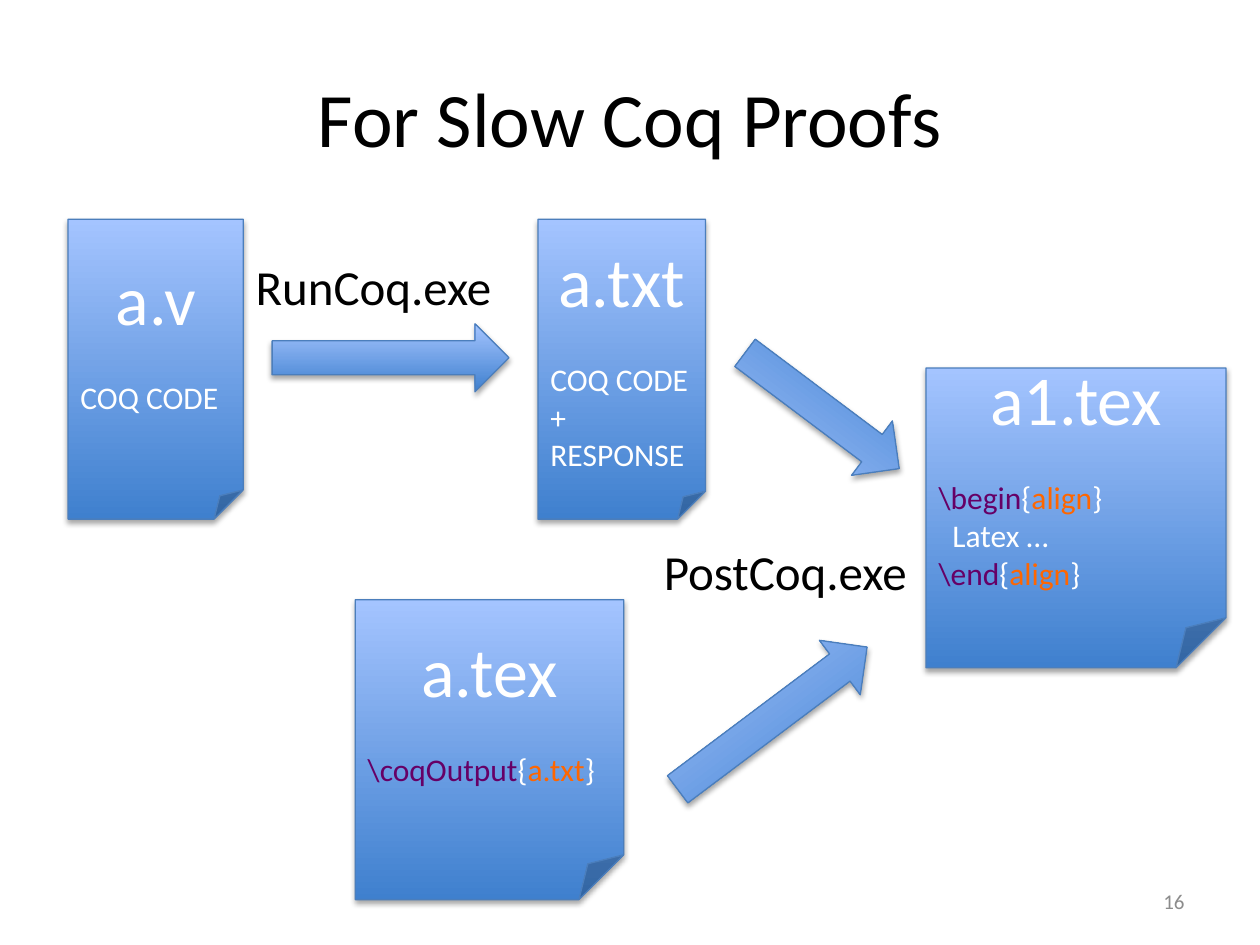
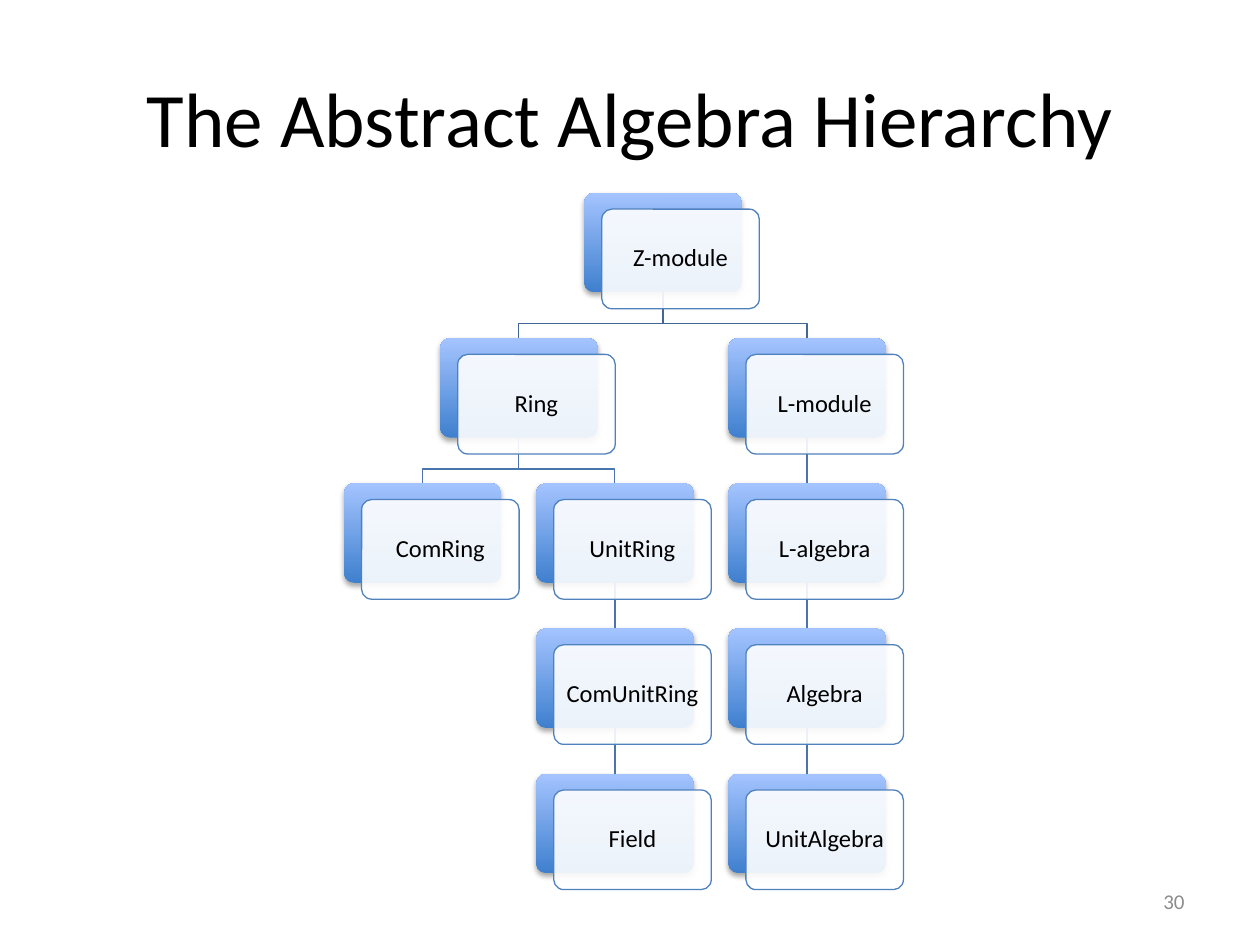
from lxml import etree
from pptx import Presentation
from pptx import util as u
from pptx.dml.color import RGBColor
from pptx.enum import shapes as es, text as et
from pptx.oxml import ns

FONT = "Calibri"
BLACK = RGBColor(0x00, 0x00, 0x00)
WHITE = RGBColor(0xFF, 0xFF, 0xFF)
GREY = RGBColor(0x8C, 0x8C, 0x8C)
DEEP = RGBColor(0x3F, 0x80, 0xCE)
PALE = RGBColor(0xA4, 0xC4, 0xFF)
EDGE = RGBColor(0x4B, 0x7E, 0xBC)
FRAME = RGBColor(0x4F, 0x81, 0xBD)
LINK = RGBColor(0x48, 0x75, 0xAC)
TOP_LINK = RGBColor(0x3F, 0x67, 0x97)
PURPLE = RGBColor(0x66, 0x00, 0x66)
ORANGE = RGBColor(0xFF, 0x66, 0x00)
LEFT, MID, RIGHT = et.PP_ALIGN.LEFT, et.PP_ALIGN.CENTER, et.PP_ALIGN.RIGHT

BLANK_LINE = 22
COL, ROW = 3.05 / 2, 4.61 / 4
CARD_W, CARD_H = 1.25, 0.79
SHIFT = (0.14, 0.13)
NODES = {
    "Z-module": (1.25, 0, None),
    "Ring": (0.5, 1, "Z-module"),
    "L-module": (2, 1, "Z-module"),
    "ComRing": (0, 2, "Ring"),
    "UnitRing": (1, 2, "Ring"),
    "ComUnitRing": (1, 3, "UnitRing"),
    "Field": (1, 4, "ComUnitRing"),
    "L-algebra": (2, 2, "L-module"),
    "Algebra": (2, 3, "L-algebra"),
    "UnitAlgebra": (2, 4, "Algebra"),
}


def place(*nums):
    return [u.Inches(n) for n in nums]


def style(par, size, color, align=LEFT):
    par.alignment = align
    for run in par.runs:
        run.font.name = FONT
        run.font.size = u.Pt(size)
        run.font.color.rgb = color


def label(slide, box, words, size, color=BLACK, align=LEFT, wrap=True):
    frame = slide.shapes.add_textbox(*place(*box)).text_frame
    frame.word_wrap = wrap
    if wrap:
        frame.vertical_anchor = et.MSO_ANCHOR.MIDDLE
    frame.text = words
    style(frame.paragraphs[0], size, color, align)


def start(deck, title, page):
    slide = deck.slides.add_slide(deck.slide_layouts[6])
    label(slide, (0.5, 0.3, 9, 1.25), title, 44, align=MID)
    label(slide, (7.17, 6.95, 2.33, 0.4), page, 12, GREY, RIGHT)
    return slide


def glossy(slide, kind, box):
    shape = slide.shapes.add_shape(kind, *place(*box))
    shape.fill.gradient()
    shape.fill.gradient_angle = 90
    for stop, color in zip(shape.fill.gradient_stops, (DEEP, PALE)):
        stop.color.rgb = color
    shape.line.color.rgb = EDGE
    shape.line.width = u.Pt(0.75)
    shape.shadow.inherit = False
    effects = shape.element.spPr.find(ns.qn("a:effectLst"))
    shade = etree.SubElement(effects, ns.qn("a:outerShdw"), blurRad="40000",
                             dist="23000", dir="5400000", rotWithShape="0")
    tint = etree.SubElement(shade, ns.qn("a:srgbClr"), val="000000")
    etree.SubElement(tint, ns.qn("a:alpha"), val="35000")
    return shape


def page_box(slide, box, name, lines, gap=0):
    frame = glossy(slide, es.MSO_SHAPE.FOLDED_CORNER, box).text_frame
    frame.word_wrap = True
    frame.vertical_anchor = et.MSO_ANCHOR.MIDDLE
    frame.margin_bottom = u.Inches(0.05) + u.Pt(gap)
    frame.text = name
    head = frame.paragraphs[0]
    style(head, 40, WHITE, MID)
    head.space_after = u.Pt(BLANK_LINE)
    for parts in lines:
        par = frame.add_paragraph()
        for words, color in parts:
            run = par.add_run()
            run.text = words
        style(par, 18, WHITE)
        for run, (words, color) in zip(par.runs, parts):
            run.font.color.rgb = color
    return frame


def arrow(slide, box, turn=0, flip=False):
    shape = glossy(slide, es.MSO_SHAPE.RIGHT_ARROW, box)
    shape.rotation = turn
    if flip:
        shape.element.spPr.xfrm.set("flipV", "1")


def macro(word, arg):
    return [("\\" + word, PURPLE), ("{", WHITE), (arg, ORANGE), ("}", WHITE)]


def spot(name):
    col, row, _ = NODES[name]
    return 2.73 + col * COL, 1.53 + row * ROW


def back_card(slide, name):
    card = glossy(slide, es.MSO_SHAPE.ROUNDED_RECTANGLE,
                  (*spot(name), CARD_W, CARD_H))
    card.adjustments[0] = 0.1
    card.line.fill.background()
    return card


def front_card(slide, name):
    x, y = spot(name)
    card = slide.shapes.add_shape(
        es.MSO_SHAPE.ROUNDED_RECTANGLE,
        *place(x + SHIFT[0], y + SHIFT[1], CARD_W, CARD_H))
    card.adjustments[0] = 0.1
    card.shadow.inherit = False
    card.fill.solid()
    card.fill.fore_color.rgb = WHITE
    tint = card.element.spPr.find(".//" + ns.qn("a:srgbClr"))
    etree.SubElement(tint, ns.qn("a:alpha"), val="90000")
    card.line.color.rgb = FRAME
    card.line.width = u.Pt(0.75)
    frame = card.text_frame
    frame.word_wrap = True
    frame.vertical_anchor = et.MSO_ANCHOR.MIDDLE
    frame.margin_left = frame.margin_right = u.Inches(0.06)
    frame.margin_top = frame.margin_bottom = u.Inches(0.06)
    frame.text = name
    par = frame.paragraphs[0]
    par.line_spacing = 0.9
    style(par, 14, BLACK, MID)


def link(slide, cards, name):
    col, row, above = NODES[name]
    x1, y1 = spot(above)
    x2, y2 = spot(name)
    x1, x2, y1 = x1 + CARD_W / 2, x2 + CARD_W / 2, y1 + CARD_H
    if col == NODES[above][0]:
        line = slide.shapes.add_connector(
            es.MSO_CONNECTOR.STRAIGHT, *place(x1, y1, x2, y2))
        line.begin_connect(cards[above], 2)
        line.end_connect(cards[name], 0)
        etree.SubElement(line.element.spPr, ns.qn("a:effectLst"))
    else:
        bend = y1 + 0.25
        pen = slide.shapes.build_freeform(*place(x1, y1))
        pen.add_line_segments(
            [place(x1, bend), place(x2, bend), place(x2, y2)], close=False)
        line = pen.convert_to_shape()
        line.fill.background()
        line.shadow.inherit = False
    line.line.color.rgb = TOP_LINK if row == 1 else LINK
    line.line.width = u.Pt(0.75)


def proofs(deck):
    slide = start(deck, "For Slow Coq Proofs", "16")
    page_box(slide, (0.54, 1.74, 1.39, 2.38), "a.v",
             [[("COQ CODE", WHITE)]], BLANK_LINE)
    page_box(slide, (4.27, 1.74, 1.33, 2.38), "a.txt",
             [[("COQ CODE + RESPONSE", WHITE)]])
    arrow(slide, (2.16, 2.57, 1.88, 0.54))
    label(slide, (1.93, 1.99, 2.11, 0.57), "RunCoq.exe", 28, wrap=False)
    frame = page_box(slide, (7.35, 2.92, 2.38, 2.38), "a1.tex",
                     [macro("begin", "align"), [("Latex …", WHITE)],
                      macro("end", "align")], BLANK_LINE)
    indent = frame.paragraphs[2]._p.get_or_add_pPr()
    indent.set("marL", str(u.Inches(0.11)))
    arrow(slide, (5.19, 5.43, 1.88, 0.54), 323.1)
    label(slide, (5.17, 4.25, 2.18, 0.57), "PostCoq.exe", 28, wrap=False)
    page_box(slide, (2.82, 4.76, 2.13, 2.38), "a.tex",
             [macro("coqOutput", "a.txt")], BLANK_LINE)
    arrow(slide, (5.76, 2.99, 1.53, 0.54), 36.9, flip=True)


def algebra(deck):
    slide = start(deck, "The Abstract Algebra Hierarchy", "30")
    cards = {name: back_card(slide, name) for name in NODES}
    for name, (_, _, above) in NODES.items():
        if above:
            link(slide, cards, name)
    for name in NODES:
        front_card(slide, name)


def main():
    deck = Presentation()
    deck.slide_width, deck.slide_height = place(10, 7.5)
    proofs(deck)
    algebra(deck)
    deck.save("out.pptx")


if __name__ == "__main__":
    main()
